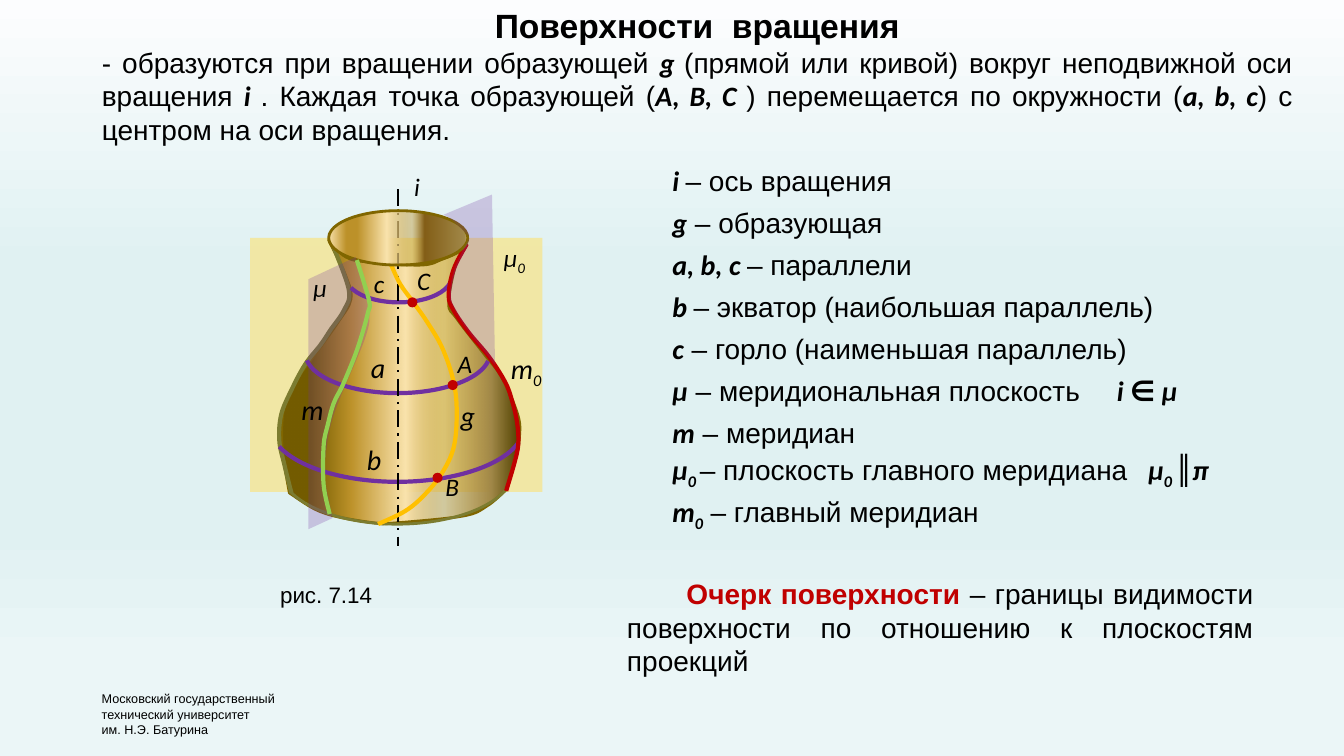
from lxml import etree
from pptx import Presentation
from pptx.dml.color import RGBColor
from pptx.enum.dml import MSO_LINE
from pptx.enum.shapes import MSO_CONNECTOR, MSO_SHAPE
from pptx.enum.text import MSO_ANCHOR, MSO_AUTO_SIZE, PP_ALIGN
from pptx.oxml.ns import qn
from pptx.util import Pt

PX = 9144  # 100 px to the inch
LONG_DASH_DOT = MSO_LINE.LONG_DASH_DOT
STRAIGHT = MSO_CONNECTOR.STRAIGHT
ARC, OVAL, RECT = MSO_SHAPE.ARC, MSO_SHAPE.OVAL, MSO_SHAPE.RECTANGLE
TOP, NO_FIT = MSO_ANCHOR.TOP, MSO_AUTO_SIZE.NONE
CENTER, JUSTIFY = PP_ALIGN.CENTER, PP_ALIGN.JUSTIFY


class Theme:
    text_font, symbol_font = "Arial", "Calibri"
    title, body, label, caption, footer = 24, 20, 18, 16, 9
    black = RGBColor.from_string("000000")
    red = RGBColor.from_string("C00000")
    purple = RGBColor.from_string("7030A0")
    green = RGBColor.from_string("92D050")
    amber = RGBColor.from_string("FFC000")
    yellow = RGBColor.from_string("FFE066")
    olive = RGBColor.from_string("7C7C30")
    bronze = RGBColor.from_string("806600")
    # position %, colour, opacity %
    sky = [(0, "FCFDFE", 100), (35, "E0F1F2", 100), (67, "E0F1F2", 100),
           (69, "E0F1F2", 100), (88, "EBF6F7", 100), (100, "EBF6F7", 100)]
    outside = [(0, "745C00", 100), (12, "745C00", 100), (29, "BD922A", 100),
               (52, "FBE4AE", 100), (68, "BD922A", 41), (88, "A28949", 100),
               (100, "504100", 100), (100, "FAE3B7", 100)]
    inside = [(0, "FBE4AE", 100), (13, "BD922A", 100), (21, "BD922A", 100),
              (42, "FBE4AE", 100), (60, "BD922A", 41), (69, "835E17", 100),
              (98, "A28949", 100), (100, "FAE3B7", 100)]


prs = Presentation()
prs.slide_width, prs.slide_height = 1333 * PX, 750 * PX
s = prs.slides.add_slide(prs.slide_layouts[5])


def write(p, text, size, color=Theme.black, bold=False, symbol_bold=True):
    """Add runs to a paragraph: *symbol* is italic Calibri, _0_ inside it a subscript."""
    for i, part in enumerate(text.split("*")):
        for j, piece in enumerate(part.split("_")):
            if not piece:
                continue
            r = p.add_run()
            r.text = piece
            symbol = i % 2 == 1
            r.font.name = Theme.symbol_font if symbol else Theme.text_font
            r.font.size = Pt(size)
            r.font.color.rgb = color
            r.font.bold = symbol_bold if symbol else bold
            r.font.italic = symbol and "∈" not in piece
            if j % 2:
                r.font._element.set("baseline", "-25000")


def draw(sections, color=None, width=0, closed=False):
    """Draw an outline of smooth sections; each goes on from the end of the one before."""
    trace, controls = [sections[0][0]], []
    for section in sections:
        knots = [trace[-1]] + [k for k in section if k != trace[-1]]
        last = len(knots) - 1
        for i in range(last):
            before, a = knots[max(i - 1, 0)], knots[i]
            b, after = knots[i + 1], knots[min(i + 2, last)]
            controls.append(None if last == 1 else (
                [a[k] + (b[k] - before[k]) / 6 for k in (0, 1)],
                [b[k] - (after[k] - a[k]) / 6 for k in (0, 1)]))
        trace += knots[1:]
    points = [(x * PX, y * PX) for x, y in trace]
    builder = s.shapes.build_freeform(*points[0])
    builder.add_line_segments(points[1:], close=closed)
    sp = builder.convert_to_shape()
    for step, pair in zip(list(sp._element.iter(qn("a:lnTo"))), controls):
        if pair:
            step.tag = qn("a:cubicBezTo")
            for n, (x, y) in enumerate(pair):
                pt = etree.Element(qn("a:pt"), x=str(round(x * PX - sp.left)),
                                   y=str(round(y * PX - sp.top)))
                step.insert(n, pt)
    sp.shadow.inherit = False
    sp.fill.background()
    if color is None:
        sp.line.fill.background()
    else:
        sp.line.color.rgb = color
        sp.line.width = Pt(width)
    return sp


# Title with the definition under it
definition = ("- образуются при вращении образующей *g *(прямой или кривой) вокруг неподвижной "
              "оси вращения *i *. Каждая точка образующей (*A, B, C *) перемещается по "
              "окружности (*а, b, c*) с центром на оси вращения.")
title = s.shapes.title
title.left, title.top, title.width, title.height = 91 * PX, 0, 1201 * PX, 151 * PX
tf = title.text_frame
tf.auto_size = NO_FIT
tf.vertical_anchor = TOP
tf.paragraphs[0].alignment = CENTER
write(tf.paragraphs[0], "Поверхности  вращения", Theme.title, bold=True)
p = tf.add_paragraph()
p.alignment = JUSTIFY
write(p, definition, Theme.body)

# Vase: main meridian plane, body, edges and curves
main_plane = s.shapes.add_shape(RECT, 248 * PX, 236 * PX, 290 * PX, 252 * PX)
main_plane.shadow.inherit = False
main_plane.line.fill.background()

rim = [(326, 238), (343, 255), (366, 260), (418, 263), (439, 257), (455, 250), (463, 243)]
right_side = [(452, 263), (445, 301), (453, 316), (480, 351), (498, 375), (514, 413),
              (515, 436), (512, 450), (502, 486)]
base = [(483, 502), (459, 512), (390, 519), (373, 519), (336, 513), (312, 505), (287, 489)]
left_side = [(280, 446), (280, 415), (284, 398), (296, 374), (310, 355), (335, 320),
             (348, 297), (343, 274), (326, 238)]
vase = draw([rim, right_side, base, left_side], Theme.bronze, 2, closed=True)

left_edge = [(289, 489), (282, 461), (277, 437), (279, 411), (290, 385), (303, 361),
             (318, 342), (328, 327), (341, 308), (346, 288), (330, 243)]
main_meridian = [(502, 487), (510, 460), (514, 441), (513, 420), (508, 398), (501, 379),
                 (485, 354), (465, 330), (450, 308), (445, 293), (450, 267), (463, 242)]
generatrix = [(375, 520), (402, 507), (421, 491), (438, 470), (450, 444), (453, 410),
              (450, 379), (439, 346), (424, 320), (410, 300), (397, 282), (388, 263)]
draw([left_edge], Theme.olive, 3)

for x, y, w, h, start, end, color, width in (
        (278, 411, 232, 109, 6.1, 100.91, Theme.olive, 2),
        (268, 367, 252, 111, 4.62, 102, Theme.purple, 3),
        (303, 311, 183, 79, 2.96, 105.33, Theme.purple, 3),
        (343, 249, 105, 51, 4.21, 100.16, Theme.purple, 3)):
    parallel = s.shapes.add_shape(ARC, x * PX, y * PX, w * PX, h * PX)
    parallel.adjustments[0], parallel.adjustments[1] = start, end
    parallel.shadow.inherit = False
    parallel.fill.background()
    parallel.line.color.rgb = color
    parallel.line.width = Pt(width)

axis = s.shapes.add_connector(STRAIGHT, 395 * PX, 188 * PX, 395 * PX, 542 * PX)
axis.line.color.rgb = Theme.black
axis.line.width = Pt(1.5)
axis.line.dash_style = LONG_DASH_DOT
etree.SubElement(axis._element.spPr, qn("a:effectLst"))
draw([main_meridian], Theme.red, 3)
draw([generatrix], Theme.amber, 3)

mouth = s.shapes.add_shape(OVAL, 326 * PX, 209 * PX, 138 * PX, 54 * PX)
mouth.shadow.inherit = False
mouth.line.color.rgb = Theme.bronze
mouth.line.width = Pt(2)

plane_front = draw([[(306, 277), (353, 255)],
                    [(359, 281), (366, 308), (362, 336), (330, 415), (321, 471)],
                    [(330, 514)], [(306, 525)]], closed=True)
plane_back = draw([[(440, 213), (488, 193)], [(491, 362)],
                   [(462, 325), (449, 303), (446, 292), (451, 266), (466, 235)],
                   [(448, 218), (440, 213)]], closed=True)
meridian = [(327, 510), (321, 481), (321, 442), (325, 422), (331, 400), (340, 382),
            (352, 353), (359, 332), (365, 310), (366, 298), (354, 258)]
draw([meridian], Theme.green, 3)

for x, y in ((404, 295), (429, 469), (444, 377)):
    dot = s.shapes.add_shape(OVAL, x * PX, y * PX, 10 * PX, 10 * PX)
    dot.shadow.inherit = False
    dot.fill.solid()
    dot.fill.fore_color.rgb = Theme.red
    dot.line.fill.background()

# Translucent planes and gradients
for plane, color, opacity in ((main_plane, Theme.yellow, 55), (plane_front, Theme.purple, 24),
                              (plane_back, Theme.purple, 24)):
    plane.fill.solid()
    plane.fill.fore_color.rgb = color
    rgb = next(plane._element.spPr.iter(qn("a:srgbClr")))
    etree.SubElement(rgb, qn("a:alpha"), val=str(opacity * 1000))

for owner, fill, stops, angle in ((s, s.background.fill, Theme.sky, 270),
                                  (vase, vase.fill, Theme.outside, 0),
                                  (mouth, mouth.fill, Theme.inside, 0)):
    fill.gradient()
    fill.gradient_angle = angle
    stop_list = next(owner._element.iter(qn("a:gsLst")))
    for old in list(stop_list):
        stop_list.remove(old)
    for position, color, opacity in stops:
        gs = etree.SubElement(stop_list, qn("a:gs"), pos=str(position * 1000))
        rgb = etree.SubElement(gs, qn("a:srgbClr"), val=color)
        if opacity < 100:
            etree.SubElement(rgb, qn("a:alpha"), val=str(opacity * 1000))

# Labels on the vase
for text, x, y, w, size in (
        ("i", 401, 165, 26, Theme.label), ("c", 361, 261, 39, Theme.label),
        ("μ_0_", 490, 235, 48, Theme.label), ("C", 404, 258, 33, Theme.label),
        ("m_0_", 497, 344, 56, Theme.body), ("A", 444, 341, 37, Theme.label),
        ("B", 432, 463, 35, Theme.label), ("b", 354, 434, 42, Theme.body),
        ("а", 358, 343, 44, Theme.body), ("μ", 301, 265, 42, Theme.label),
        ("g", 447, 390, 41, Theme.body), ("m", 289, 384, 46, Theme.body)):
    tf = s.shapes.add_textbox(x * PX, y * PX, w * PX, 42 * PX).text_frame
    tf.word_wrap = True
    write(tf.paragraphs[0], f"*{text}*", size, symbol_bold=False)

# Text blocks
terms = ["*i *– ось вращения", "*g* – образующая", "*а, b, c *– параллели",
         "*b *– экватор (наибольшая параллель)", "*c* – горло (наименьшая параллель)",
         "*μ* – меридиональная плоскость\t*i **∈ **μ*", "*m* – меридиан",
         "*μ_0 _*– плоскость главного меридиана\t*μ_0 _║π*", "*m_0  _*– главный меридиан"]
tab_stops = {5: 441, 7: 472}
footer = ["Московский государственный", "технический университет", "им. Н.Э. Батурина"]
blocks = {}
for name, lines, x, y, w, h, size in (
        ("terms", terms, 657, 149, 571, 389, Theme.body),
        ("outline", [""], 612, 567, 641, 111, Theme.body),
        ("footer", footer, 91, 681, 198, 56, Theme.footer),
        ("caption", ["рис. 7.14"], 268, 572, 113, 37, Theme.caption)):
    tf = blocks[name] = s.shapes.add_textbox(x * PX, y * PX, w * PX, h * PX).text_frame
    tf.word_wrap = True
    for i, line in enumerate(lines):
        p = tf.add_paragraph() if i else tf.paragraphs[0]
        write(p, line, size)

for i, p in enumerate(blocks["terms"].paragraphs):
    p.line_spacing = Pt(30)
    if i in tab_stops:
        tabs = etree.SubElement(p._p.get_or_add_pPr(), qn("a:tabLst"))
        etree.SubElement(tabs, qn("a:tab"), pos=str(tab_stops[i] * PX), algn="l")

p = blocks["outline"].paragraphs[0]
p.alignment = JUSTIFY
p._p.get_or_add_pPr().set("indent", str(59 * PX))
write(p, "Очерк поверхности ", Theme.body, Theme.red, bold=True)
write(p, "– границы видимости поверхности по отношению к плоскостям проекций", Theme.body)

prs.save("out.pptx")
